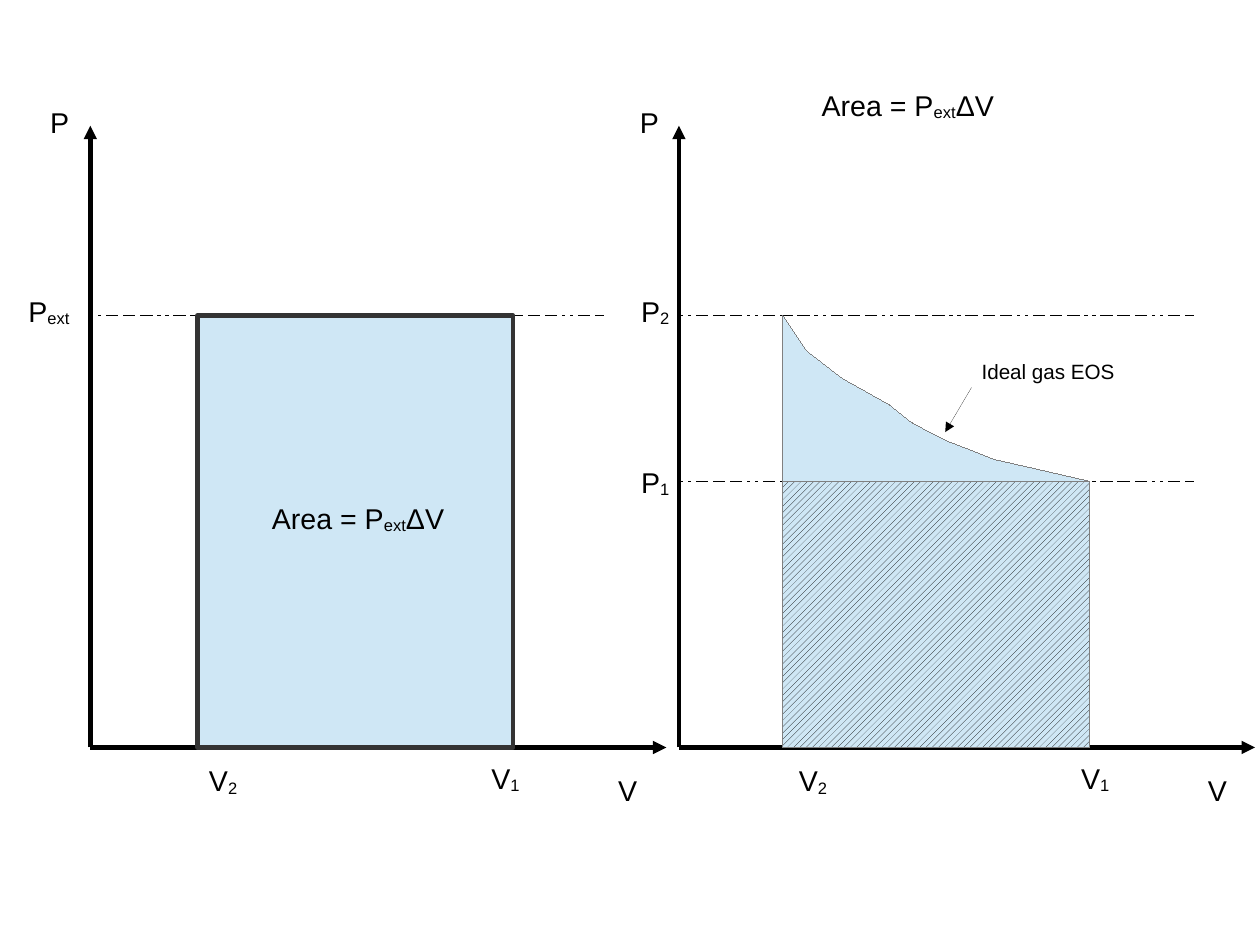
from dataclasses import dataclass
from lxml.etree import SubElement as Sub
from pptx import Presentation
from pptx.dml.color import RGBColor as Rgb
from pptx.enum.dml import MSO_PATTERN as Pattern
from pptx.enum.shapes import MSO_CONNECTOR as Link, MSO_SHAPE as Kind
from pptx.enum.text import MSO_AUTO_SIZE as Fit
from pptx.oxml.ns import qn
from pptx.util import Inches, Pt


@dataclass(frozen=True)
class Theme:
    font: str = "Arial"
    ink: str = "000000"
    blue: str = "CFE7F5"
    frame: str = "333333"
    edge: str = "808080"
    size: float = 18
    small: float = 13
    thick: float = 2.83
    hair: float = 0


@dataclass(frozen=True)
class Label:
    left: float
    top: float
    width: float
    height: float
    text: str
    sub: str = ""
    tail: str = ""
    size: float = Theme.size


@dataclass(frozen=True)
class Stroke:
    start: tuple[float, float]
    end: tuple[float, float]
    width: float = Theme.hair
    dash: bool = False
    arrow: bool = False


@dataclass(frozen=True)
class Panel:
    axis: float
    shift: float
    guides: tuple[float, ...]


THEME = Theme()
WIDE, TALL = 28 / 2.54, 21 / 2.54
LEFT, BASE, HIGH, LOW = 0.79, 6.54, 2.76, 4.21
NEAR, FAR = 6.85, 9.53
PANELS = (Panel(LEFT, 0, (HIGH,)), Panel(5.94, 5.16, (HIGH, LOW)))
MARKS = (
    Label(0.34, 0.87, 0.36, 0.38, "P"),
    Label(5.31, 6.71, 0.36, 0.38, "V"),
    Label(4.2, 6.61, 0.45, 0.46, "V", "1"),
    Label(1.73, 6.63, 0.45, 0.46, "V", "2"),
)
NOTES = (
    Label(0.15, 2.52, 0.56, 0.46, "P", "ext"),
    Label(2.28, 4.33, 1.75, 0.46, "Area = P", "ext", "ΔV"),
    Label(5.51, 2.52, 0.45, 0.46, "P", "2"),
    Label(5.51, 4.02, 0.45, 0.46, "P", "1"),
    Label(7.09, 0.72, 1.75, 0.46, "Area = P", "ext", "ΔV"),
    Label(8.49, 3.09, 1.36, 0.3, "Ideal gas EOS", size=THEME.small),
)
CURVE = (
    (NEAR, BASE), (FAR, BASE), (FAR, LOW), (9.01, 4.09), (8.7, 4.02),
    (8.5, 3.94), (8.29, 3.86), (7.98, 3.7), (7.78, 3.54), (7.37, 3.31),
    (7.06, 3.07),
)
DASHES = (189000,) * 2 + (942000,) * 3
GAP = 471000


def paint(shape, hue: str, width: float) -> None:
    shape.line.color.rgb = Rgb.from_string(hue)
    line = shape._element.spPr.find(qn("a:ln"))
    line.set("w", str(int(Pt(width))))


def draw_stroke(shapes, item: Stroke) -> None:
    ends = [Inches(v) for v in item.start + item.end]
    link = shapes.add_connector(Link.STRAIGHT, *ends)
    paint(link, THEME.ink, item.width)
    props = link._element.spPr
    line = props.find(qn("a:ln"))
    if item.dash:
        dash = Sub(line, qn("a:custDash"))
        for size in DASHES:
            Sub(dash, qn("a:ds"), d=str(size), sp=str(GAP))
    if item.arrow:
        Sub(line, qn("a:tailEnd"), type="triangle")
    Sub(props, qn("a:effectLst"))


def draw_label(shapes, item: Label, shift: float = 0) -> None:
    place = (item.left + shift, item.top, item.width, item.height)
    frame = shapes.add_textbox(*map(Inches, place)).text_frame
    frame.word_wrap = False
    frame.auto_size = Fit.SHAPE_TO_FIT_TEXT
    for part in filter(None, (item.text, item.sub, item.tail)):
        run = frame.paragraphs[0].add_run()
        run.text = part
        run.font.name = THEME.font
        run.font.size = Pt(item.size)
        run.font.color.rgb = Rgb.from_string(THEME.ink)
        if part == item.sub:
            run._r.get_or_add_rPr().set("baseline", "-8000")


def draw_rect(shapes, place: tuple[float, ...], hue: str, width: float,
              hatch: bool = False) -> None:
    rect = shapes.add_shape(Kind.RECTANGLE, *map(Inches, place))
    rect.shadow.inherit = False
    paint(rect, hue, width)
    if hatch:
        rect.fill.patterned()
        rect.fill.pattern = Pattern.WIDE_UPWARD_DIAGONAL
        rect.fill.fore_color.rgb = Rgb.from_string(THEME.ink)
        rect.fill.back_color.rgb = Rgb.from_string(THEME.blue)
    else:
        rect.fill.solid()
        rect.fill.fore_color.rgb = Rgb.from_string(THEME.blue)


def draw_curve(shapes) -> None:
    pen = shapes.build_freeform(Inches(NEAR), Inches(HIGH))
    pen.add_line_segments([(Inches(x), Inches(y)) for x, y in CURVE], close=True)
    area = pen.convert_to_shape()
    area.shadow.inherit = False
    area.fill.solid()
    area.fill.fore_color.rgb = Rgb.from_string(THEME.blue)
    paint(area, THEME.edge, THEME.hair)


def draw_panel(shapes, panel: Panel) -> None:
    foot = (panel.axis, BASE)
    for end in ((panel.axis, 1.1), (panel.axis + 5.04, BASE)):
        draw_stroke(shapes, Stroke(foot, end, THEME.thick, arrow=True))
    left = LEFT + panel.shift
    for y in panel.guides:
        draw_stroke(shapes, Stroke((left, y), (left + 4.49, y), dash=True))
    for mark in MARKS:
        draw_label(shapes, mark, panel.shift)


def main() -> None:
    deck = Presentation()
    deck.slide_width, deck.slide_height = Inches(WIDE), Inches(TALL)
    shapes = deck.slides.add_slide(deck.slide_layouts[6]).shapes
    for panel in PANELS:
        draw_panel(shapes, panel)
    draw_rect(shapes, (1.73, HIGH, 2.76, BASE - HIGH), THEME.frame, THEME.thick)
    draw_curve(shapes)
    draw_rect(shapes, (NEAR, LOW, FAR - NEAR, BASE - LOW), THEME.edge,
              THEME.hair, hatch=True)
    for note in NOTES:
        draw_label(shapes, note)
    draw_stroke(shapes, Stroke((8.5, 3.39), (8.27, 3.78), arrow=True))
    deck.save("out.pptx")


if __name__ == "__main__":
    main()
